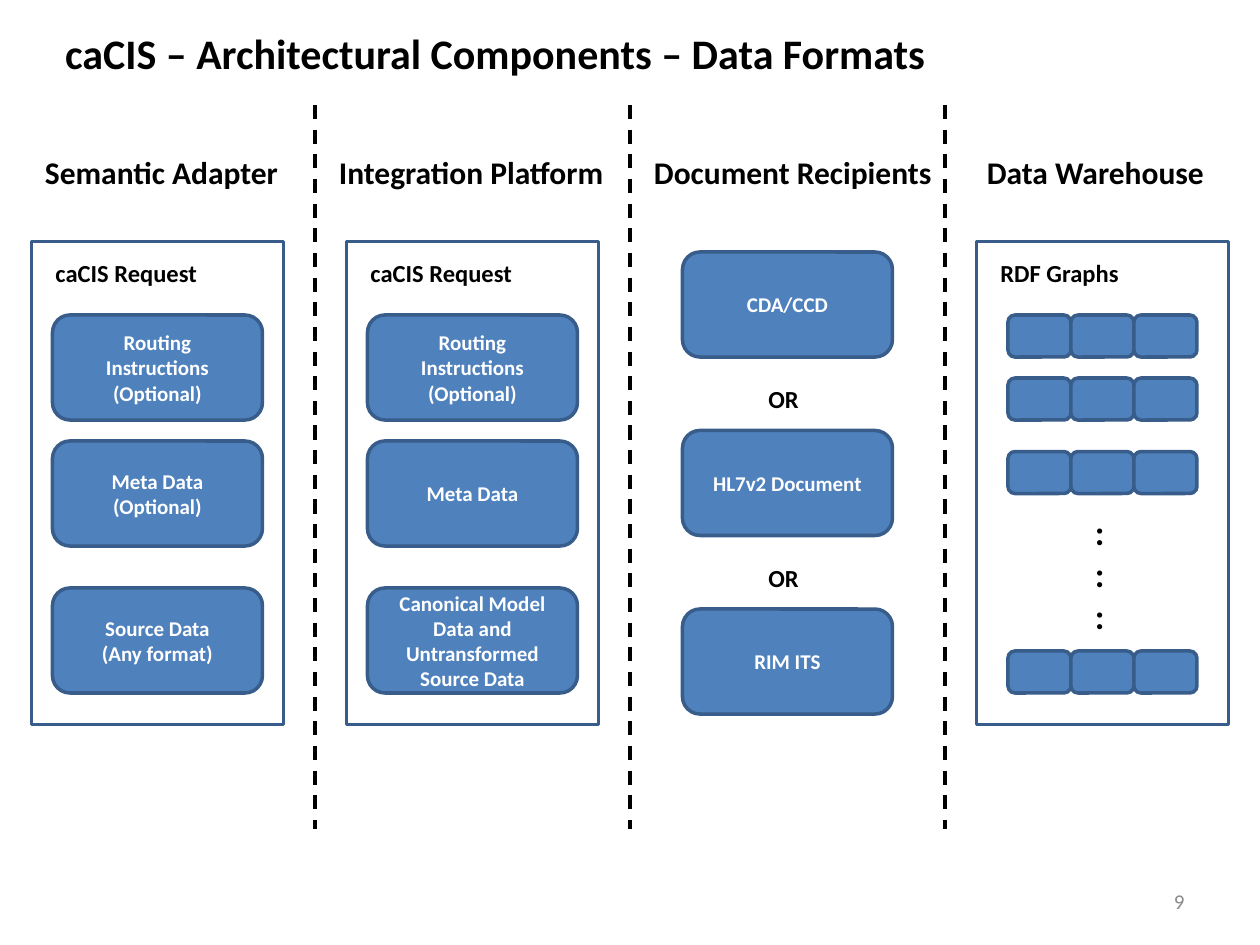
from dataclasses import dataclass

from lxml.etree import SubElement
from pptx import Presentation
from pptx.dml.color import RGBColor
from pptx.enum.dml import MSO_LINE
from pptx.enum.shapes import MSO_CONNECTOR, MSO_SHAPE
from pptx.enum.text import MSO_ANCHOR, MSO_AUTO_SIZE, PP_ALIGN
from pptx.oxml.ns import qn
from pptx.util import Inches, Pt


@dataclass(frozen=True)
class Theme:
    """Colours, font and type sizes of the slide."""
    font: str = "Calibri"
    ink: RGBColor = RGBColor(0x00, 0x00, 0x00)
    paper: RGBColor = RGBColor(0xFF, 0xFF, 0xFF)
    card: RGBColor = RGBColor(0x4F, 0x81, 0xBD)
    border: RGBColor = RGBColor(0x38, 0x5D, 0x8A)
    muted: RGBColor = RGBColor(0x89, 0x89, 0x89)
    title: int = 24
    heading: int = 18
    label: int = 14
    body: int = 12
    dots: int = 20
    stroke: int = 2


class SlideBuilder:
    """Draws elements on a slide divided into 120 columns and 90 rows."""

    def __init__(self, deck, theme):
        """Start a title-only slide."""
        self.theme = theme
        self.slide = deck.slides.add_slide(deck.slide_layouts[5])
        self.column = deck.slide_width / 120
        self.row = deck.slide_height / 90

    def place(self, left, top, width, height):
        """Turn grid units into slide lengths."""
        return (round(left * self.column), round(top * self.row),
                round(width * self.column), round(height * self.row))

    def set_lines(self, frame, lines, size, color, bold=True,
                  align=PP_ALIGN.LEFT, anchor=MSO_ANCHOR.TOP, wrap=True):
        """Fill a text frame with one paragraph per line."""
        frame.auto_size = MSO_AUTO_SIZE.NONE
        frame.word_wrap = wrap
        frame.vertical_anchor = anchor
        frame.margin_left = frame.margin_right = Inches(0.1)
        frame.margin_top = frame.margin_bottom = Inches(0.05)
        for index, line in enumerate(lines):
            paragraph = frame.add_paragraph() if index else frame.paragraphs[0]
            paragraph.alignment = align
            run = paragraph.add_run()
            run.text = line
            run.font.name = self.theme.font
            run.font.size = Pt(size)
            run.font.bold = bold
            run.font.color.rgb = color

    def title(self, text, *box):
        """Move and format the title placeholder."""
        heading = self.slide.shapes.title
        heading.left, heading.top, heading.width, heading.height = self.place(*box)
        self.set_lines(heading.text_frame, [text], self.theme.title, self.theme.ink)

    def text(self, lines, size, *box, color=None, **style):
        """Add free-standing text."""
        label = self.slide.shapes.add_textbox(*self.place(*box))
        self.set_lines(label.text_frame, lines, size,
                       color or self.theme.ink, **style)

    def divider(self, column, top, bottom):
        """Add a dashed vertical line."""
        x, start, _, length = self.place(column, top, 0, bottom - top)
        line = self.slide.shapes.add_connector(
            MSO_CONNECTOR.STRAIGHT, x, start, x, start + length)
        line.line.color.rgb = self.theme.ink
        line.line.width = Pt(self.theme.stroke)
        line.line.dash_style = MSO_LINE.DASH
        SubElement(line._element.spPr, qn("a:effectLst"))

    def outline(self, preset, box, shapes):
        """Add a bordered shape without shadow."""
        shape = shapes.add_shape(preset, *self.place(*box))
        shape.shadow.inherit = False
        shape.line.color.rgb = self.theme.border
        shape.line.width = Pt(self.theme.stroke)
        return shape

    def panel(self, label, column, label_width):
        """Add an open frame with its label."""
        frame = self.outline(MSO_SHAPE.RECTANGLE, (column, 23, 24, 46),
                             self.slide.shapes)
        frame.fill.background()
        self.text([label], self.theme.label, column + 1.1, 24,
                  label_width, 4.1, wrap=False)

    def card(self, lines, *box, shapes=None):
        """Add a filled rounded card with centred text."""
        target = self.slide.shapes if shapes is None else shapes
        card = self.outline(MSO_SHAPE.FLOWCHART_ALTERNATE_PROCESS, box, target)
        card.fill.solid()
        card.fill.fore_color.rgb = self.theme.card
        self.set_lines(card.text_frame, lines, self.theme.body, self.theme.paper,
                       align=PP_ALIGN.CENTER, anchor=MSO_ANCHOR.MIDDLE)

    def graph(self, row):
        """Add a grouped row of three adjoining nodes."""
        group = self.slide.shapes.add_group_shape()
        for column in (96, 102, 108):
            self.card([], column, row, 6, 4, shapes=group.shapes)


def main():
    """Build and save the slide."""
    deck = Presentation()
    deck.slide_width, deck.slide_height = Inches(10), Inches(7.5)
    theme = Theme()
    page = SlideBuilder(deck, theme)

    page.title("caCIS – Architectural Components – Data Formats", 5, 2, 112, 6)
    page.text(["9"], theme.body, 86, 83.4, 28, 4.8, color=theme.muted,
              bold=False, align=PP_ALIGN.RIGHT, anchor=MSO_ANCHOR.MIDDLE)
    for column in (30, 60, 90):
        page.divider(column, 10, 79)

    headings = (("Semantic Adapter", 3.1, 24.6),
                ("Integration Platform", 31.1, 27.8),
                ("Document Recipients", 61.1, 28.9),
                ("Data Warehouse", 92.8, 23.3))
    for heading, column, width in headings:
        page.text([heading], theme.heading, column, 14, width, 4.8, wrap=False)

    routing = ["Routing Instructions", "(Optional)"]
    requests = {
        3: (routing, ["Meta Data", "(Optional)"], ["Source Data", "(Any format)"]),
        33: (routing, ["Meta Data"],
             ["Canonical Model Data and", "Untransformed Source Data"]),
    }
    for column, parts in requests.items():
        page.panel("caCIS Request", column, 16)
        for row, part in zip((30, 42, 56), parts):
            page.card(part, column + 2, row, 20, 10)

    for index, document in enumerate(("CDA/CCD", "HL7v2 Document", "RIM ITS")):
        row = 24 + 17 * index
        page.card([document], 65, row, 20, 10)
        if index:
            page.text(["OR"], theme.label, 72, row - 5, 5.3, 4.1, wrap=False)

    page.panel("RDF Graphs", 93, 13.7)
    for row in (30, 36, 43, 62):
        page.graph(row)
    page.text([":"] * 3, theme.dots, 103.1, 48, 3.2, 13.2, wrap=False)

    deck.save("out.pptx")


if __name__ == "__main__":
    main()
